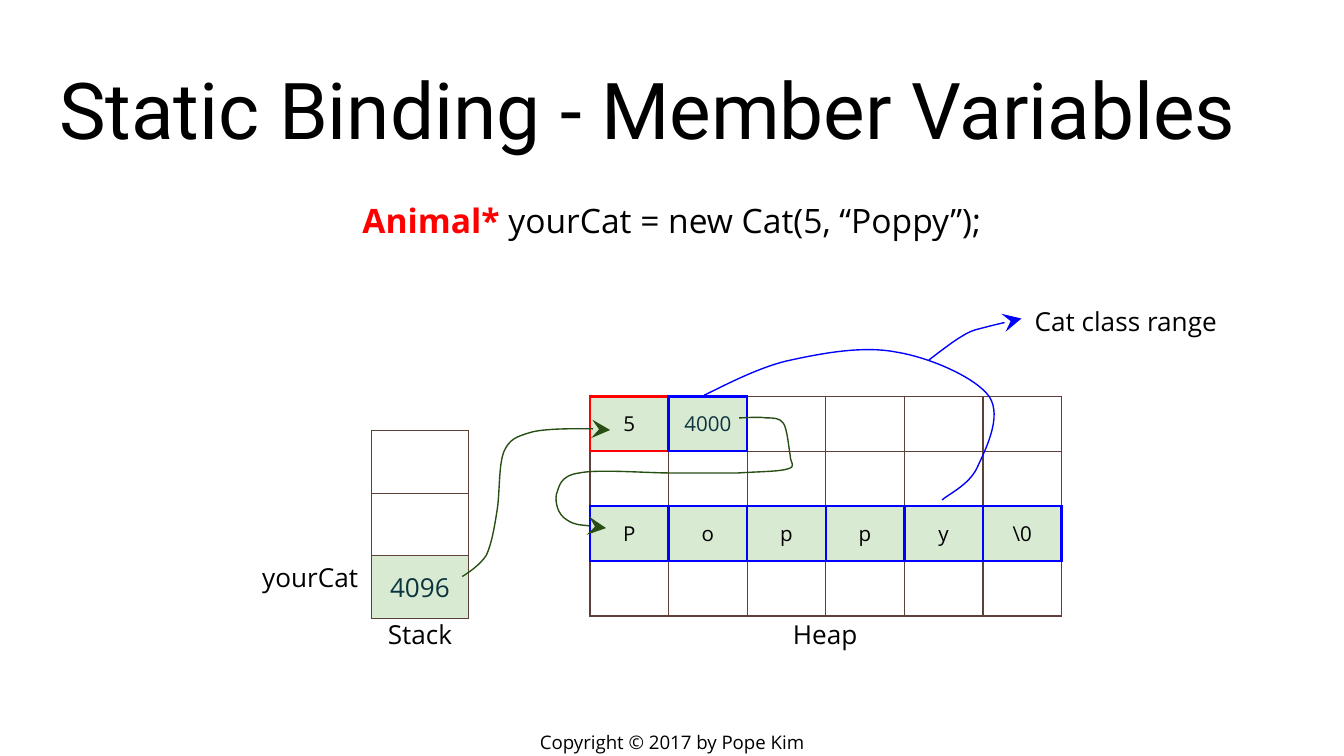
from dataclasses import dataclass, field

import pptx
import pptx.dml.color
import pptx.enum.text
import pptx.oxml.ns
import pptx.util
from lxml import etree

COLORS = {"black": "000000", "red": "FF0000", "blue": "0000FF", "brown": "5D4037",
          "green": "274E13", "mint": "D9EAD3", "teal": "0C343D"}
COLS, ROWS = 1000, 562.5  # layout grid: one unit is a thousandth of the slide width
UNIT = pptx.util.Inches(10) // COLS
ALIGN = pptx.enum.text.PP_ALIGN
ANCHOR = pptx.enum.text.MSO_ANCHOR
qn = pptx.oxml.ns.qn


@dataclass
class Label:
    text: str
    box: tuple
    size: float = 14
    align: int = ALIGN.CENTER
    anchor: int = ANCHOR.TOP


@dataclass
class Memory:
    """A block of memory cells; texts and borders are keyed by (row, column)."""
    corner: tuple
    rows: int
    cols: int
    cell_size: tuple
    size: float
    line: str
    width: float
    texts: dict = field(default_factory=dict)
    borders: dict | None = None  # None draws every side of every cell


@dataclass
class Curve:
    points: list  # a start point, then three points per Bezier segment
    color: str
    arrow: bool = True


def rgb(name: str):
    return pptx.dml.color.RGBColor.from_string(COLORS[name])


def units(*values: float) -> list:
    return [round(v * UNIT) for v in values]


def style(r, size: float, color: str = "black", font: str = "Open Sans") -> None:
    r.font.name, r.font.size = font, pptx.util.Pt(size)
    r.font.color.rgb = rgb(color)


def set_frame(sp, anchor: int) -> None:
    tf = sp.text_frame
    tf.word_wrap = True
    tf.auto_size = pptx.enum.text.MSO_AUTO_SIZE.NONE
    tf.vertical_anchor = anchor
    tf.margin_left = tf.margin_right = tf.margin_top = tf.margin_bottom = 10 * UNIT


def place(sp, box: tuple) -> None:
    sp.left, sp.top, sp.width, sp.height = units(*box)


def add_label(shapes, label: Label) -> None:
    sp = shapes.add_textbox(*units(*label.box))
    set_frame(sp, label.anchor)
    p = sp.text_frame.paragraphs[0]
    p.text, p.alignment = label.text, label.align
    style(p.runs[0], label.size)


def add_border(cell, side: str, color: str, width: float) -> None:
    ln = etree.SubElement(cell._tc.get_or_add_tcPr(), qn(f"a:ln{side}"),
                          w=str(pptx.util.Pt(width)))
    fill = etree.SubElement(ln, qn("a:solidFill"))
    etree.SubElement(fill, qn("a:srgbClr"), val=COLORS[color])


def add_memory(shapes, mem: Memory):
    cell_w, cell_h = mem.cell_size
    frame = shapes.add_table(mem.rows, mem.cols,
                             *units(*mem.corner, mem.cols * cell_w, mem.rows * cell_h))
    table = frame.table
    table.first_row = table.horz_banding = False
    # "No Style, No Grid"
    table._tbl.tblPr.find(qn("a:tableStyleId")).text = "{2D5ABB26-0587-4C30-8999-92F81FD0307C}"
    for i in range(mem.rows * mem.cols):
        key = divmod(i, mem.cols)
        cell = table.cell(*key)
        cell.margin_left = cell.margin_right = cell.margin_top = cell.margin_bottom = 10 * UNIT
        for side in "LRTB" if mem.borders is None else mem.borders.get(key, ""):
            add_border(cell, side, mem.line, mem.width)
        p = cell.text_frame.paragraphs[0]
        if key in mem.texts:
            p.text, p.alignment = mem.texts[key], ALIGN.CENTER
            is_address = len(p.text) == 4
            style(p.runs[0], mem.size, "teal" if is_address else "black")
            cell.fill.solid()
            cell.fill.fore_color.rgb = rgb("mint")
        else:
            # The empty paragraph's size keeps the row from growing
            etree.SubElement(p._p, qn("a:endParaRPr"), sz=str(mem.size * 100))
            cell.fill.background()
    return table


def add_curve(shapes, curve: Curve) -> None:
    start, *rest = [(x * UNIT, y * UNIT) for x, y in curve.points]
    builder = shapes.build_freeform(*start)
    builder.add_line_segments(rest, close=False)
    sp = builder.convert_to_shape()
    sp.shadow.inherit = False
    sp.fill.background()
    sp.line.color.rgb, sp.line.width = rgb(curve.color), pptx.util.Pt(0.75)
    # Every three straight segments become one Bezier segment
    outline = sp._element.find(".//" + qn("a:path"))
    lines = outline.findall(qn("a:lnTo"))
    for i in range(0, len(lines), 3):
        bezier = etree.SubElement(outline, qn("a:cubicBezTo"))
        for line in lines[i:i + 3]:
            bezier.append(line[0])
            outline.remove(line)
    if curve.arrow:
        etree.SubElement(sp.line._get_or_add_ln(), qn("a:tailEnd"),
                         type="stealth", w="lg", len="lg")


HEAP_CORNER, HEAP_CELL = (439, 295), (58.5, 40.8)
HEAP_TEXTS = {(0, 0): "5", (0, 1): "4000"}
HEAP_TEXTS.update({(2, c): t for c, t in enumerate(["P", "o", "p", "p", "y", "\\0"])})
HEAP = Memory(HEAP_CORNER, 4, 6, HEAP_CELL, 11, "brown", 0.75, HEAP_TEXTS)
STACK = Memory((276.5, 320.5), 3, 1, (72, 46.5), 14, "brown", 0.75, {(2, 0): "4096"})
ANIMAL_RANGE = Memory(HEAP_CORNER, 1, 1, HEAP_CELL, 11, "red", 1.5)
CAT_RANGE = Memory(HEAP_CORNER, 3, 6, HEAP_CELL, 11, "blue", 1.5,
                   borders={(0, 1): "LRTB", (0, 2): "L", **{(2, c): "LRTB" for c in range(6)}})

FOOTER = Label("Copyright © 2017 by Pope Kim", (376.5, 541.5, 247, 21), 10, anchor=ANCHOR.MIDDLE)
LABELS = [
    Label("Stack", (276.5, 450, 72, 43)),
    Label("Heap", (578, 450, 72, 43)),
    Label("yourCat", (176.5, 407.5, 100, 43), align=ALIGN.RIGHT, anchor=ANCHOR.MIDDLE),
]
RANGE_LABEL = Label("Cat class range", (760, 217, 224, 43), align=ALIGN.LEFT)

POINTERS = [
    Curve([(344, 429), (347, 427), (357, 421), (362, 413), (366, 404), (368, 392), (370, 379),
           (372, 366), (371, 346), (375, 336), (379, 327), (384, 325), (394, 322),
           (403, 319), (424, 319), (434, 319), (444, 319), (450, 320), (454, 320)], "green"),
    Curve([(550, 311), (553, 311), (565, 310), (570, 311), (576, 311), (580, 311), (583, 315),
           (586, 320), (587, 334), (588, 339), (588, 345), (593, 347), (586, 349),
           (580, 351), (563, 351), (549, 352), (534, 352), (520, 352), (500, 352),
           (480, 352), (445, 349), (431, 352), (416, 354), (416, 363), (414, 368),
           (413, 374), (415, 383), (422, 387), (428, 391), (446, 392), (451, 393)], "green"),
]
RANGE_CURVES = [
    Curve([(524, 294), (535, 289), (564, 273), (588, 268), (611, 263), (642, 257), (667, 262),
           (692, 266), (726, 281), (736, 295), (746, 310), (733, 335), (727, 348),
           (721, 361), (705, 368), (701, 372)], "blue", arrow=False),
    Curve([(691, 268), (695, 265), (709, 254), (716, 250), (724, 245), (728, 245), (735, 243),
           (743, 241), (756, 238), (760, 237)], "blue"),
]


def main() -> None:
    prs = pptx.Presentation()
    prs.slide_width, prs.slide_height = units(COLS, ROWS)
    s = prs.slides.add_slide(prs.slide_layouts[1])
    add_label(s.shapes, FOOTER)

    # Title
    title = s.shapes.title
    place(title, (34, 34.5, 932, 91))
    set_frame(title, ANCHOR.BOTTOM)
    p = title.text_frame.paragraphs[0]
    p.text, p.alignment = "Static Binding - Member Variables", ALIGN.LEFT
    style(p.runs[0], 42, font="Roboto")

    # Statement
    body = s.placeholders[1]
    place(body, (34, 134, 932, 67))
    set_frame(body, ANCHOR.TOP)
    p = body.text_frame.paragraphs[0]
    pPr = p._p.get_or_add_pPr()
    pPr.set("marL", "0")
    pPr.set("indent", "0")
    etree.SubElement(pPr, qn("a:buNone"))
    p.alignment, p.line_spacing = ALIGN.CENTER, 1.15
    p.space_before, p.space_after = pptx.util.Pt(0), pptx.util.Pt(16)
    for text, color in [("Animal*", "red"), (" yourCat = new Cat(5, “Poppy”);", "black")]:
        r = p.add_run()
        r.text = text
        style(r, 18, color)
        r.font.bold = color == "red"

    # Memory blocks, with the class ranges outlined on top
    for mem in (HEAP, STACK, ANIMAL_RANGE):
        add_memory(s.shapes, mem)
    cat_range = add_memory(s.shapes, CAT_RANGE)
    cat_range.cell(0, 2).merge(cat_range.cell(0, 5))
    for label in LABELS:
        add_label(s.shapes, label)

    # Pointers and the class range callout
    for curves, labels in [(POINTERS, []), (RANGE_CURVES, [RANGE_LABEL])]:
        group = s.shapes.add_group_shape()
        for curve in curves:
            add_curve(group.shapes, curve)
        for label in labels:
            add_label(group.shapes, label)

    prs.save("out.pptx")


if __name__ == "__main__":
    main()
